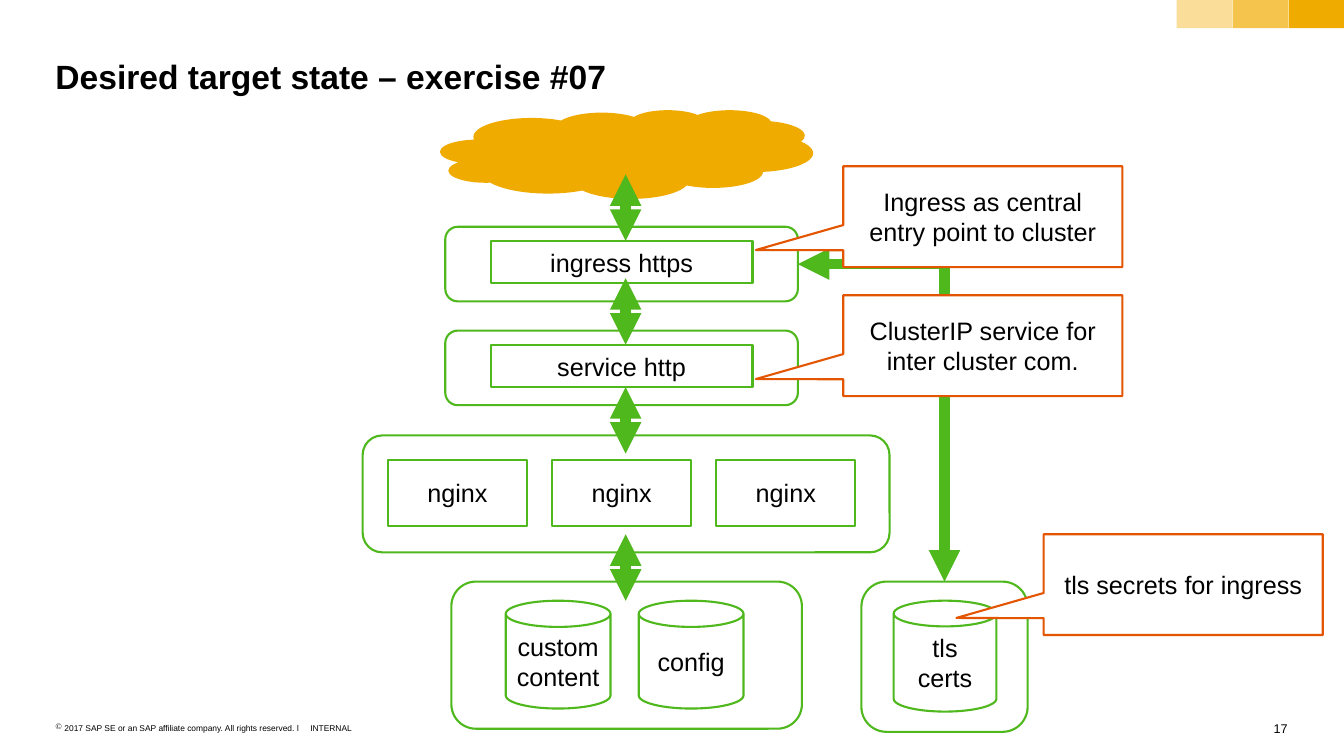
from dataclasses import dataclass

from lxml import etree
from pptx import Presentation
from pptx.dml.color import RGBColor
from pptx.enum.shapes import MSO_CONNECTOR, MSO_SHAPE
from pptx.enum.text import MSO_ANCHOR, PP_ALIGN
from pptx.oxml.ns import qn
from pptx.util import Inches, Pt

RECTANGLE = MSO_SHAPE.RECTANGLE
ROUNDED = MSO_SHAPE.ROUNDED_RECTANGLE
CAN = MSO_SHAPE.CAN
CLOUD = MSO_SHAPE.CLOUD
CALLOUT = MSO_SHAPE.RECTANGULAR_CALLOUT
STRAIGHT, ELBOW = MSO_CONNECTOR.STRAIGHT, MSO_CONNECTOR.ELBOW
LEFT, CENTER, RIGHT = PP_ALIGN.LEFT, PP_ALIGN.CENTER, PP_ALIGN.RIGHT
TOP, MIDDLE = MSO_ANCHOR.TOP, MSO_ANCHOR.MIDDLE
TOP_SITE, RIGHT_SITE = 0, 3
TITLE_ONLY_LAYOUT = 5


@dataclass(frozen=True)
class Theme:
    font: str = "Arial"
    text: str = "000000"
    paper: str = "FFFFFF"
    accent: str = "F0AB00"
    green: str = "4FB81C"
    orange: str = "E35500"
    title_size: float = 24
    label_size: float = 18
    number_size: float = 9
    footer_size: float = 6
    outline: float = 1.5
    arrow: float = 7.5


def color(value):
    return RGBColor.from_string(value)


def write_text(shape, text, *, theme, size, align=LEFT, anchor=TOP, bold=False,
               margins=(0, 0), wrap=True, bullet=None, hanging=0):
    frame = shape.text_frame
    frame.word_wrap = wrap
    frame.vertical_anchor = anchor
    frame.margin_left = frame.margin_right = Inches(margins[0])
    frame.margin_top = frame.margin_bottom = Inches(margins[1])
    frame.text = text
    paragraph = frame.paragraphs[0]
    if bullet:
        properties = paragraph._p.get_or_add_pPr()
        properties.set("marL", str(Inches(hanging)))
        properties.set("indent", str(-Inches(hanging)))
        bullet_color = etree.SubElement(properties, qn("a:buClr"))
        etree.SubElement(bullet_color, qn("a:srgbClr"), val=theme.text)
        etree.SubElement(properties, qn("a:buChar"), char=bullet)
    paragraph.alignment = align
    font = paragraph.font
    font.name, font.size, font.bold = theme.font, Pt(size), bold
    font.color.rgb = color(theme.text)


class SlideBuilder:
    def __init__(self, slide, theme):
        self.slide = slide
        self.theme = theme

    def title(self, text, box):
        title = self.slide.shapes.title
        title.left, title.top, title.width, title.height = map(Inches, box)
        write_text(title, text, theme=self.theme, size=self.theme.title_size,
                   bold=True, anchor=MIDDLE)

    def text(self, text, box, size, **text_format):
        textbox = self.slide.shapes.add_textbox(*map(Inches, box))
        write_text(textbox, text, theme=self.theme, size=size, **text_format)

    def shape(self, kind, box, text=None, fill=None, line=None, opacity=100):
        shape = self.slide.shapes.add_shape(kind, *map(Inches, box))
        shape.shadow.inherit = False
        shape.fill.solid()
        shape.fill.fore_color.rgb = color(fill or self.theme.paper)
        if opacity < 100:
            solid = shape._element.spPr.find(qn("a:solidFill"))
            etree.SubElement(solid[0], qn("a:alpha"), val=str(opacity * 1000))
        if line:
            shape.line.color.rgb = color(line)
            shape.line.width = Pt(self.theme.outline)
        else:
            shape.line.fill.background()
        if text:
            write_text(shape, text, theme=self.theme, size=self.theme.label_size,
                       align=CENTER, anchor=MIDDLE, margins=(0.1, 0.08))
        return shape

    def node(self, kind, box, text=None):
        return self.shape(kind, box, text, line=self.theme.green)

    def callout(self, text, left, top):
        callout = self.shape(CALLOUT, (left, top, 2.77, 1), text, line=self.theme.orange)
        callout.adjustments[0] = -0.813
        callout.adjustments[1] = 0.331

    def arrow(self, start, end, kind=STRAIGHT):
        """Draw a connector with an arrowhead at both ends."""
        connector = self.slide.shapes.add_connector(kind, *map(Inches, (*start, *end)))
        connector.line.color.rgb = color(self.theme.green)
        connector.line.width = Pt(self.theme.arrow)
        line = connector.line._get_or_add_ln()
        for tag in ("a:headEnd", "a:tailEnd"):
            etree.SubElement(line, qn(tag), type="triangle")
        etree.SubElement(connector._element.spPr, qn("a:effectLst"))
        return connector

    def corner_arrow(self, source, target):
        """Leave the source on its right and enter the target from above, with one bend."""
        connector = self.arrow((7.92, 2.62), (9.38, 5.77), ELBOW)
        connector.begin_connect(source, RIGHT_SITE)
        connector.end_connect(target, TOP_SITE)
        geometry = connector._element.spPr.find(qn("a:prstGeom"))
        geometry.set("prst", "bentConnector2")


def add_page_frame(builder):
    theme = builder.theme
    builder.text("17", (12.63, 7.15, 0.15, 0.15), theme.number_size, align=RIGHT, wrap=False)
    builder.text("INTERNAL", (3.08, 7.17, 0.42, 0.1), theme.footer_size, wrap=False)
    builder.text("2017 SAP SE or an SAP affiliate company. All rights reserved. ǀ",
                 (0.55, 7.17, 2.48, 0.1), theme.footer_size, bullet="©", hanging=0.09)
    for index, opacity in enumerate((40, 70, 100)):
        builder.shape(RECTANGLE, (11.68 + index * 0.555, 0, 0.55, 0.28),
                      fill=theme.accent, opacity=opacity)


def add_layer(builder, text, top):
    frame = builder.node(ROUNDED, (4.42, top, 3.5, 0.74))
    builder.node(RECTANGLE, (4.87, top + 0.14, 2.6, 0.42), text)
    return frame


def main():
    presentation = Presentation()
    presentation.slide_width, presentation.slide_height = Inches(13.34), Inches(7.5)
    slide = presentation.slides.add_slide(presentation.slide_layouts[TITLE_ONLY_LAYOUT])
    builder = SlideBuilder(slide, Theme())

    add_page_frame(builder)
    builder.title("Desired target state – exercise #07", (0.55, 0.55, 12.23, 0.4))

    builder.shape(CLOUD, (4.37, 1.09, 3.7, 0.88), fill=builder.theme.accent)
    ingress = add_layer(builder, "ingress https", 2.25)
    add_layer(builder, "service http", 3.28)

    builder.node(ROUNDED, (3.6, 4.32, 5.23, 1.16))
    for index in range(3):
        builder.node(RECTANGLE, (3.85 + index * 1.63, 4.56, 1.38, 0.66), "nginx")

    builder.node(ROUNDED, (4.48, 5.77, 3.48, 1.46))
    for index, text in enumerate(("custom content", "config")):
        builder.node(CAN, (5.02 + index * 1.32, 5.96, 1.04, 1.07), text)

    secrets = builder.node(ROUNDED, (8.55, 5.77, 1.65, 1.49))
    builder.node(CAN, (8.87, 5.96, 1.02, 1.1), "tls certs")
    builder.callout("tls secrets for ingress", 10.36, 5.3)

    builder.corner_arrow(ingress, secrets)
    for top in (1.73, 2.76, 3.84, 5.3):
        builder.arrow((6.21, top), (6.21, top + 0.66))

    builder.callout("Ingress as central entry point to cluster", 8.37, 1.65)
    builder.callout("ClusterIP service for inter cluster com.", 8.37, 2.93)

    presentation.save("out.pptx")


if __name__ == "__main__":
    main()
